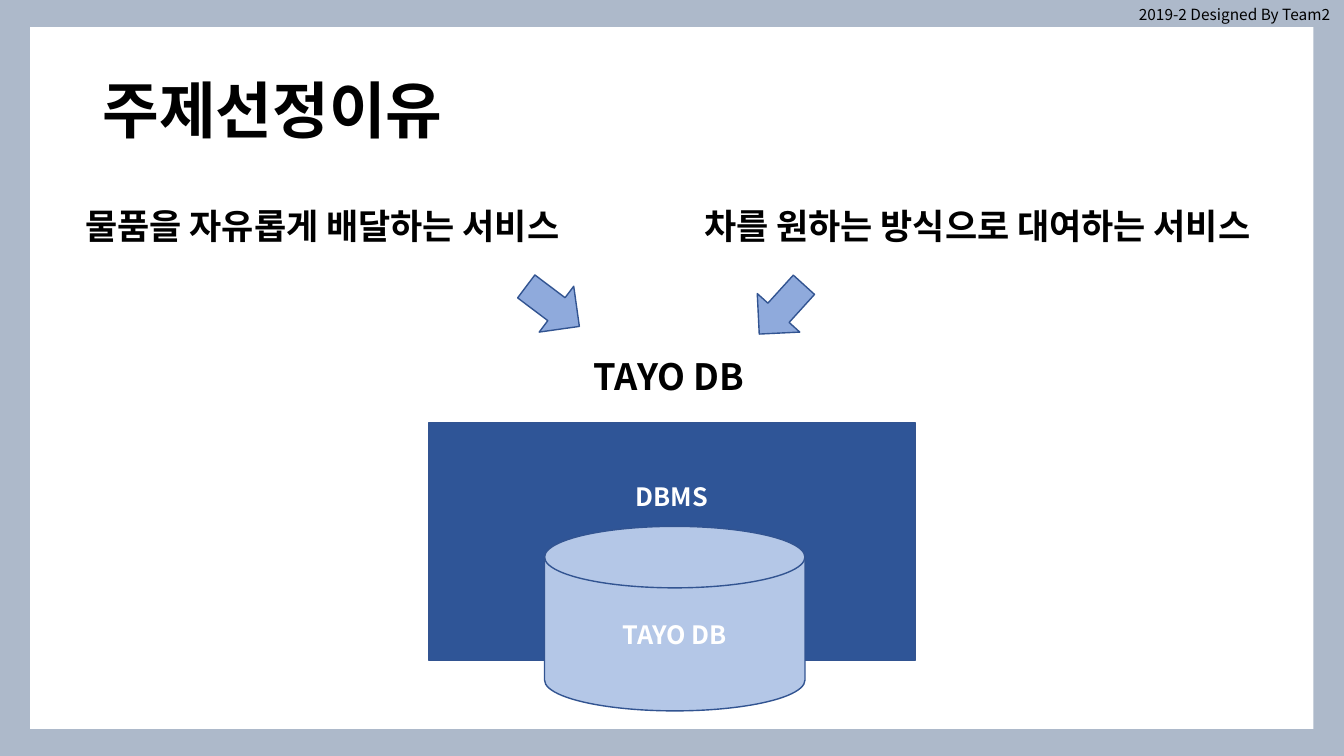
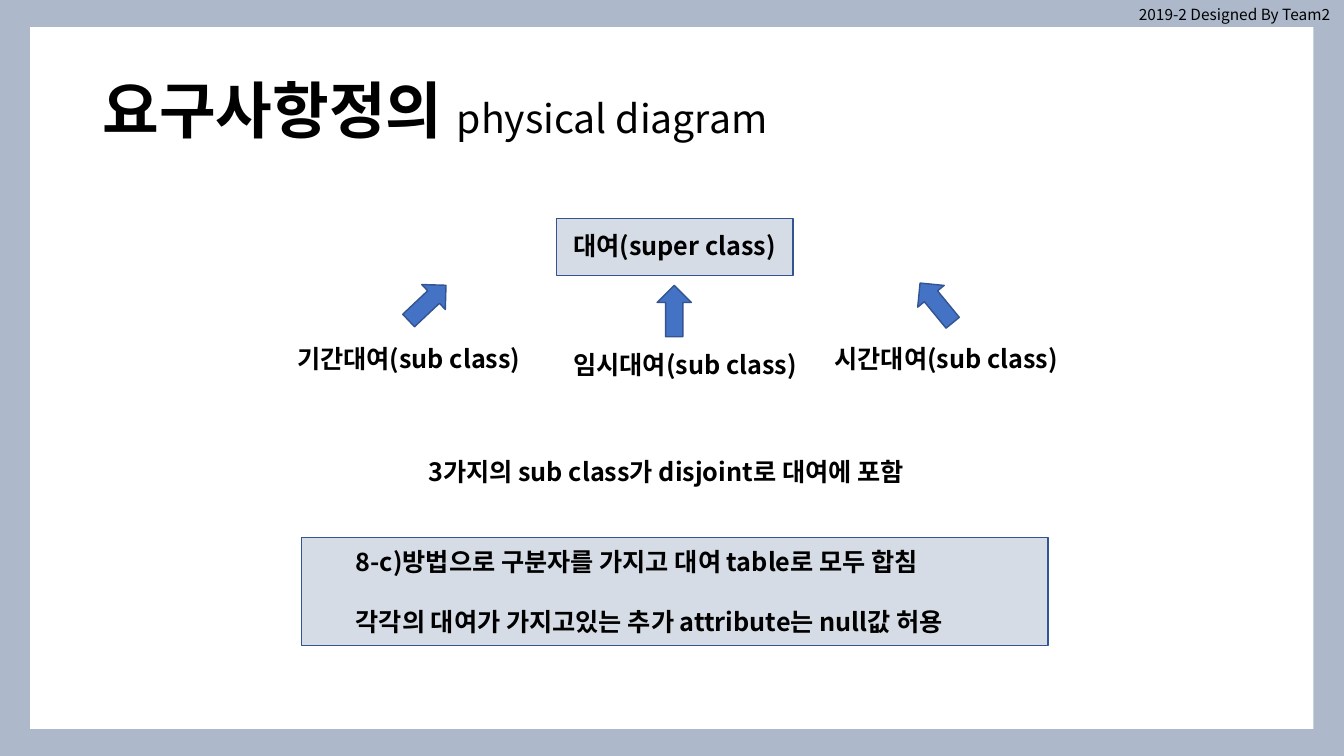
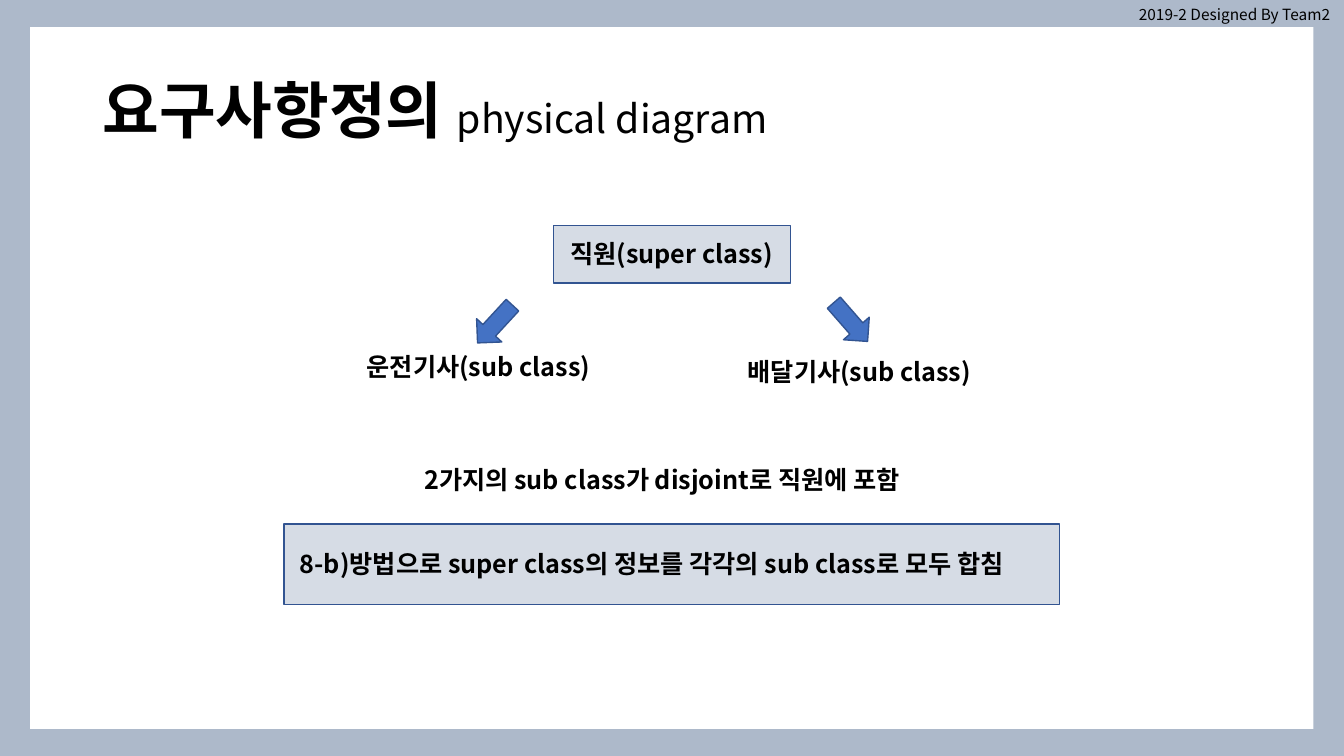
from lxml import etree
from pptx import Presentation, util as u
from pptx.dml import color
from pptx.enum import shapes, text
from pptx.oxml import ns

Pt, RGB = u.Pt, color.RGBColor
KIND, SIDE, MID, FIT = shapes.MSO_SHAPE, text.PP_ALIGN, text.MSO_ANCHOR, text.MSO_AUTO_SIZE

# Shared style
FACE = "Noto Sans CJK KR"
BLACK, WHITE = RGB(0, 0, 0), RGB(0xFF, 0xFF, 0xFF)
STEEL, MIST = RGB(0xAD, 0xB9, 0xCA), RGB(0xD6, 0xDC, 0xE5)
NAVY, EDGE = RGB(0x2F, 0x55, 0x97), RGB(0x32, 0x54, 0x91)
BLUE, SKY, PALE = RGB(0x44, 0x72, 0xC4), RGB(0x8F, 0xAA, 0xDC), RGB(0xB4, 0xC7, 0xE7)
HEAD = dict(line_spacing=0.9, space_before=Pt(10))
SUB = "physical diagram"


def put(item, form):
    for key, value in form.items():
        setattr(item, key, value)


class Deck:
    def __init__(self):
        self.file = Presentation()
        put(self.file, dict(slide_width=Pt(960), slide_height=Pt(540)))

    def page(self, title, sub=None):
        """Start a slide with its frame, credit and title."""
        slide = self.file.slides.add_slide(self.file.slide_layouts[5])
        self.items = slide.shapes
        self.shape(KIND.RECTANGLE, 0, 0, 960, 540, STEEL, edge=None)
        self.shape(KIND.RECTANGLE, 21.6, 19.4, 916.6, 501.2, WHITE, edge=None)
        self.label("2019-2 Designed By Team2", 806.4, 0, 153.4, 21, size=11, bold=False,
                   frame=dict(word_wrap=False, auto_size=FIT.SHAPE_TO_FIT_TEXT))
        head = self.items.title
        self.items.element.append(head.element)
        put(head, dict(left=Pt(66), top=Pt(29), width=Pt(828), height=Pt(104)))
        put(head.text_frame, dict(vertical_anchor=MID.MIDDLE, auto_size=FIT.NONE))
        line = head.text_frame.paragraphs[0]
        put(line, dict(alignment=SIDE.LEFT, line_spacing=0.9))
        self.run(line, title + " " if sub else title, 44)
        if sub:
            self.run(line, sub, 28, bold=False)

    def run(self, line, words, size, tint=BLACK, bold=True):
        run = line.add_run()
        run.text = words
        put(run.font, dict(name=FACE, size=Pt(size), bold=bold))
        run.font.color.rgb = tint
        etree.SubElement(run.font._element, ns.qn("a:ea"), typeface=FACE)

    def label(self, words, x, y, w, h=29, size=18, bold=True, frame={}, form={}, gap=0):
        """Text box; further lines stand apart by the gap."""
        box = self.items.add_textbox(*map(Pt, (x, y, w, h))).text_frame
        put(box, dict(word_wrap=True, **frame) if "word_wrap" not in frame else frame)
        for i, part in enumerate(words.split("\n")):
            line = box.add_paragraph() if i else box.paragraphs[0]
            put(line, form)
            if i:
                line.space_before = Pt(gap)
            self.run(line, part, size, bold=bold)

    def shape(self, kind, x, y, w, h, fill, edge=EDGE, words=None, foot=3.6, turn=0):
        item = self.items.add_shape(kind, *map(Pt, (x, y, w, h)))
        item.shadow.inherit = False
        item.rotation = turn
        item.fill.solid()
        item.fill.fore_color.rgb = fill
        if edge is None:
            item.line.fill.background()
        else:
            item.line.color.rgb = edge
            item.line.width = Pt(1)
        if words:
            put(item.text_frame, dict(vertical_anchor=MID.MIDDLE, margin_bottom=Pt(foot)))
            line = item.text_frame.paragraphs[0]
            line.alignment = SIDE.CENTER
            self.run(line, words, 18, WHITE)

    def panel(self, x, y, w, h):
        self.shape(KIND.RECTANGLE, x, y, w, h, MIST)

    def up(self, x, y, turn=0):
        self.shape(KIND.UP_ARROW, x, y, 24.5, 36.7, BLUE, turn=turn)

    def down(self, x, y, turn):
        self.shape(KIND.DOWN_ARROW, x, y, 41, 47.5, SKY, turn=turn)


deck = Deck()

# Slide 1: why this topic
deck.page("주제선정이유")
for words, x in (("차를 원하는 방식으로 대여하는 서비스", 496), ("물품을 자유롭게 배달하는 서비스", 54)):
    deck.label(words, x, 146.2, 504, 37.4, size=25, form=HEAD)
deck.shape(KIND.RECTANGLE, 306.5, 302, 347, 170, NAVY, words="DBMS", foot=68)
deck.shape(KIND.FLOWCHART_MAGNETIC_DISK, 389, 376, 186, 131.8, PALE, words="TAYO DB")
deck.label("TAYO DB", 417, 252.7, 126, 54, size=25.9, form=HEAD)
deck.down(374.4, 195.1, 307)
deck.down(537.8, 197.3, 42.2)

# Slide 2: three kinds of rental
deck.page("요구사항정의", SUB)
deck.panel(215.5, 384, 533, 77)
deck.panel(397.4, 156, 169.2, 41)
for words, x, y in (("대여(super class)", 402.5, 161.3), ("기간대여(sub class)", 205.2, 242),
                    ("시간대여(sub class)", 589, 242), ("임시대여(sub class)", 402.5, 246.2)):
    deck.label(words, x, y, 186)
deck.label("3가지의 sub class가 disjoint로 대여에 포함", 298.8, 322.6, 394.6)
deck.label("8-c)방법으로 구분자를 가지고 대여 table로 모두 합침\n"
           "각각의 대여가 가지고있는 추가 attribute는 null값 허용",
           247, 386.6, 520, 72.7, gap=21.4)
for x, y, turn in ((293, 198, 46.7), (469.4, 203.8, 0), (656.6, 198, 320.6)):
    deck.up(x, y, turn)

# Slide 3: two kinds of staff
deck.page("요구사항정의", SUB)
deck.panel(203, 374.4, 553.7, 57.6)
deck.panel(395.3, 161.3, 169.2, 41)
for words, x, y in (("직원(super class)", 400.3, 167), ("운전기사(sub class)", 254.9, 247.7),
                    ("배달기사(sub class)", 527, 251.3)):
    deck.label(words, x, y, 186)
deck.label("2가지의 sub class가 disjoint로 직원에 포함", 296, 328.3, 394.6)
deck.label(" 8-b)방법으로 super class의 정보를 각각의 sub class로 모두 합침", 203, 388, 575.3, 51)
deck.up(341.3, 213.1, 222.7)
deck.up(595.4, 211.7, 138.9)

deck.file.save("out.pptx")
